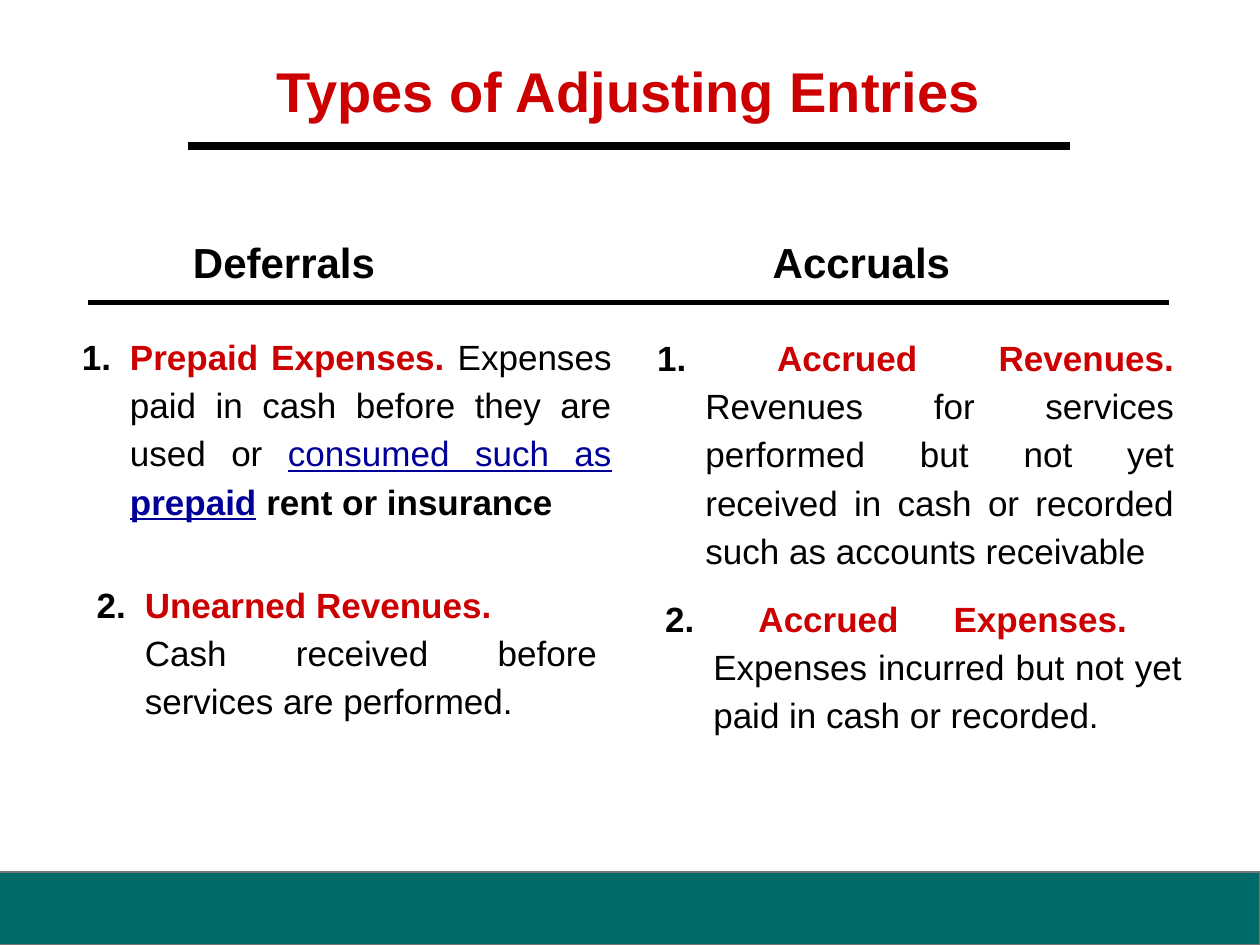
import pptx
import pptx.util
import pptx.dml.color
import pptx.enum.shapes
import pptx.enum.text
import lxml.etree
from pptx.util import Cm

RED = pptx.dml.color.RGBColor(0xCC, 0x00, 0x00)
BLACK = pptx.dml.color.RGBColor(0x00, 0x00, 0x00)
BLUE = pptx.dml.color.RGBColor(0x00, 0x00, 0x99)
TEAL = pptx.dml.color.RGBColor(0x00, 0x6A, 0x6A)
GREY = pptx.dml.color.RGBColor(0x77, 0x77, 0x77)
ALIGN = pptx.enum.text.PP_ALIGN
ANCHOR = pptx.enum.text.MSO_ANCHOR
HANG = Cm(0.97)


def write(para, text, size=20, color=BLACK, bold=False, under=None):
    run = para.add_run()
    run.text = text
    font = run.font
    font.name = "Arial"
    font.size = pptx.util.Pt(size)
    font.color.rgb = color
    font.bold = bold
    font.underline = under


def frame(shape, anchor, top):
    """Set wrap, anchor and insets, and return the text frame."""
    body = shape.text_frame
    body.word_wrap = True
    body.auto_size = pptx.enum.text.MSO_AUTO_SIZE.NONE
    body.vertical_anchor = anchor
    body.margin_left = body.margin_right = Cm(0.25)
    body.margin_top = top
    body.margin_bottom = Cm(0.13)
    return body


deck = pptx.Presentation()
deck.slide_width, deck.slide_height = Cm(25.4), Cm(19.05)
slide = deck.slides.add_slide(deck.slide_layouts[5])
shapes = slide.shapes

# Title
title = shapes.title
title.left, title.top = Cm(1.24), Cm(1.04)
title.width, title.height = Cm(22.86), Cm(1.55)
para = frame(title, ANCHOR.MIDDLE, Cm(0.13)).paragraphs[0]
para.alignment = ALIGN.CENTER
write(para, "Types of Adjusting Entries", size=32, color=RED, bold=True)

# Column heads
for left, head in ((1.7, "Deferrals"), (13.34, "Accruals")):
    box = shapes.add_textbox(Cm(left), Cm(4.65), Cm(8.05), Cm(1.27))
    para = frame(box, ANCHOR.MIDDLE, Cm(0.13)).paragraphs[0]
    para.alignment = ALIGN.CENTER
    write(para, head, size=24, bold=True)

# Entries: place, then paragraphs of (text, format) runs
strong = {"bold": True}
term = {"bold": True, "color": RED}
link = {"color": BLUE, "under": True}
entries = [
    ((1.4, 6.25, 11.18, 4.45), [[
        ("1.\t", strong), ("Prepaid Expenses. ", term),
        ("Expenses paid in cash before they are used or ", {}),
        ("consumed such as ", link), ("prepaid", {**link, **strong}),
        (" rent or insurance", strong)]]),
    ((13, 6.27, 10.92, 4.98), [[
        ("1. \t", strong), ("Accrued Revenues. ", term),
        ("Revenues for services performed but not yet received in cash "
         "or recorded such as accounts receivable", {})]]),
    ((1.7, 11.25, 10.59, 4.45), [
        [("2.\t", strong), ("Unearned Revenues.", term)],
        [("Cash received before services are performed.", {})]]),
    ((13.16, 11.53, 10.92, 4.45), [[
        ("2. \t", strong), ("Accrued Expenses.  ", term),
        ("Expenses incurred but not yet paid in cash or recorded.", {})]]),
]
for place, paras in entries:
    box = shapes.add_textbox(*map(Cm, place))
    body = frame(box, ANCHOR.TOP, Cm(0.38))
    for num, runs in enumerate(paras):
        para = body.add_paragraph() if num else body.paragraphs[0]
        para.alignment = ALIGN.JUSTIFY
        para.line_spacing = 1.15
        props = para._p.get_or_add_pPr()
        props.set("marL", str(HANG))
        props.set("indent", str(0 if num else -HANG))
        for text, style in runs:
            write(para, text, **style)

# Rules under the title and the heads
for start, end, top, width in ((3.78, 21.56, 2.95, 4.5), (1.78, 23.57, 6.1, 3)):
    rule = shapes.add_connector(pptx.enum.shapes.MSO_CONNECTOR.STRAIGHT,
                                Cm(start), Cm(top), Cm(end), Cm(top))
    rule.line.color.rgb = BLACK
    rule.line.width = pptx.util.Pt(width)
    lxml.etree.SubElement(rule._element.spPr, pptx.oxml.ns.qn("a:effectLst"))

# Bottom band
band = shapes.add_shape(pptx.enum.shapes.MSO_SHAPE.RECTANGLE,
                        Cm(-0.05), Cm(17.58), Cm(25.45), Cm(1.47))
band.shadow.inherit = False
band.fill.solid()
band.fill.fore_color.rgb = TEAL
band.line.color.rgb = GREY
band.line.width = pptx.util.Pt(1)

deck.save("out.pptx")
